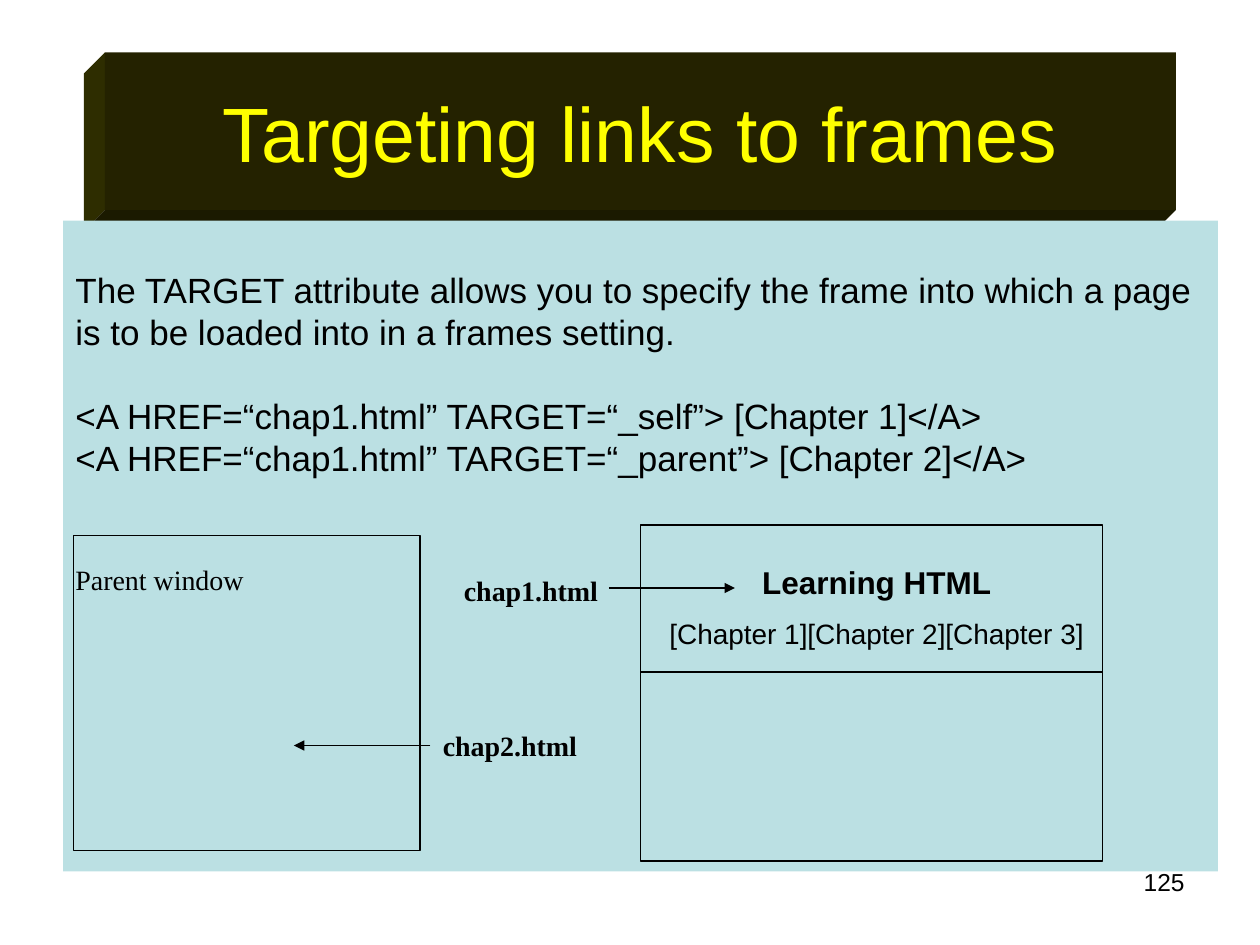
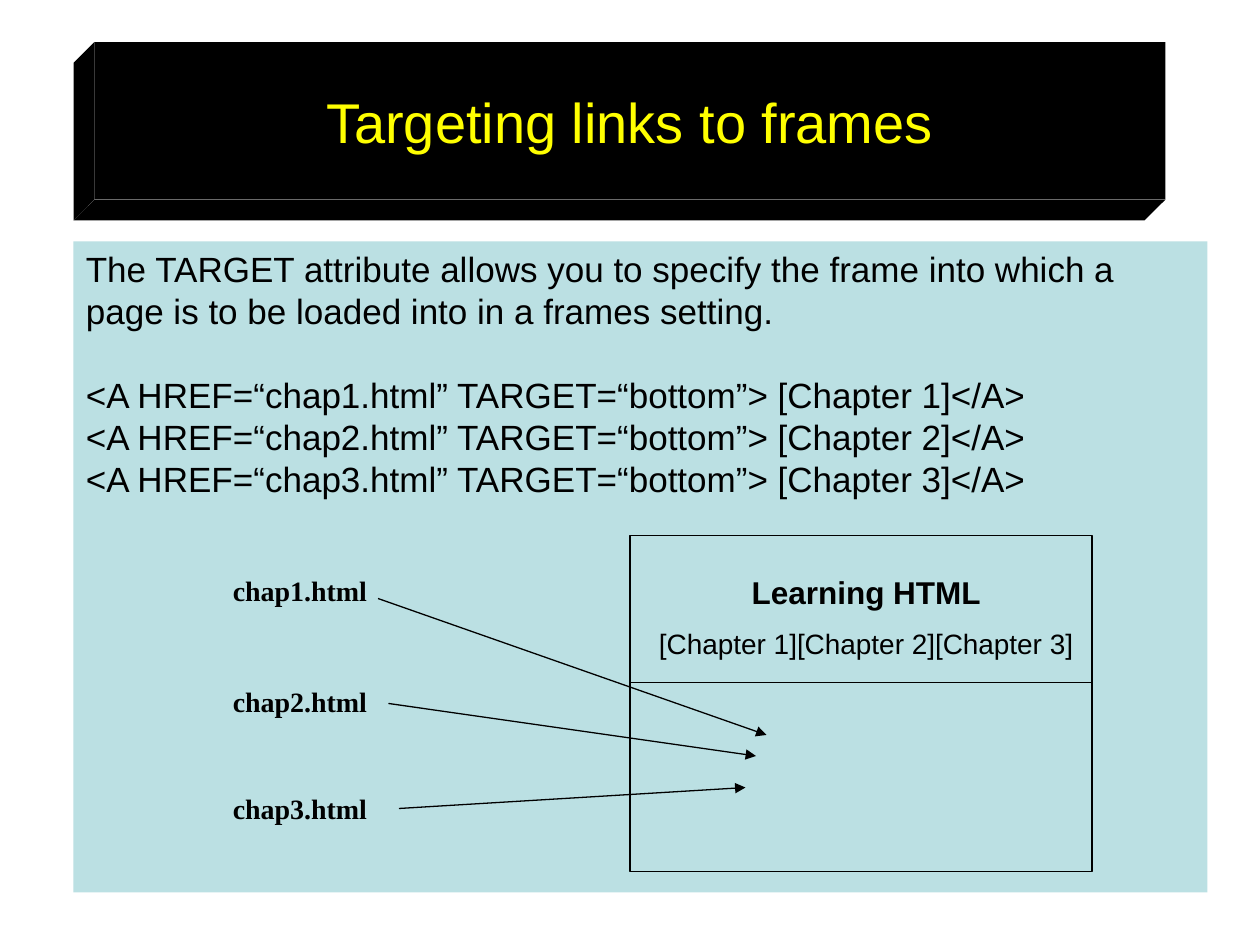
"""Build two slides that explain how links are targeted to frames."""
from lxml import etree
from pptx import Presentation
from pptx.dml.color import RGBColor
from pptx.enum.shapes import MSO_CONNECTOR, MSO_SHAPE
from pptx.enum.text import MSO_ANCHOR, PP_ALIGN
from pptx.oxml.ns import qn
from pptx.util import Inches, Pt

RECTANGLE = MSO_SHAPE.RECTANGLE
STRAIGHT = MSO_CONNECTOR.STRAIGHT
LEFT, CENTER, RIGHT = PP_ALIGN.LEFT, PP_ALIGN.CENTER, PP_ALIGN.RIGHT
TOP, MIDDLE = MSO_ANCHOR.TOP, MSO_ANCHOR.MIDDLE
LEFT_SIDE, RIGHT_SIDE = 1, 3

SANS, SERIF = "Arial", "Times New Roman"
INK, PANEL, TITLE = "000000", "BBE0E3", "FFFF00"
OLIVE = {"front": "242200", "side": "2E2D00", "base": "1B1A00"}
BLACK = dict.fromkeys(OLIVE, INK)

WIDTH, HEIGHT = Inches(10), Inches(7.5)
COLUMNS, ROWS = 120, 90
BODY_SIZE, BODY_LINE = 20, 24
EXTRUSION = 2
INTRO = ("The TARGET attribute allows you to specify the frame into which "
         "a page is to be loaded into in a frames setting.")


def color(hex_code):
    """Turn a hex string into a colour."""
    return RGBColor.from_string(hex_code)


def write(frame, text, size=BODY_SIZE, font=SANS, ink=INK, bold=False,
          align=LEFT, before=0):
    """Add one formatted paragraph to a text frame."""
    first = frame.paragraphs[0]
    paragraph = frame.add_paragraph() if first.runs else first
    paragraph.alignment = align
    paragraph.space_before = Pt(before)
    run = paragraph.add_run()
    run.text = text
    run.font.size, run.font.name, run.font.bold = Pt(size), font, bold
    run.font.color.rgb = color(ink)


class Deck:
    """Hold the shared style and the slide being drawn on."""

    def __init__(self):
        """Open an empty presentation."""
        self.presentation = Presentation()
        self.presentation.slide_width = WIDTH
        self.presentation.slide_height = HEIGHT
        self.shapes = None

    def new_slide(self):
        """Start a blank slide."""
        layout = self.presentation.slide_layouts[6]
        self.shapes = self.presentation.slides.add_slide(layout).shapes

    def place(self, column, row):
        """Convert a grid position or extent to lengths."""
        return round(WIDTH * column / COLUMNS), round(HEIGHT * row / ROWS)

    def paint(self, shape, fill=None, line=None):
        """Give a shape its fill and outline."""
        shape.shadow.inherit = False
        if fill:
            shape.fill.solid()
            shape.fill.fore_color.rgb = color(fill)
        else:
            shape.fill.background()
        if line:
            shape.line.color.rgb = color(line)
            shape.line.width = Pt(0.75)
        else:
            shape.line.fill.background()
        return shape

    def box(self, column, row, width, height, fill=None, line=None,
            anchor=TOP):
        """Draw a rectangle."""
        shape = self.shapes.add_shape(RECTANGLE, *self.place(column, row),
                                      *self.place(width, height))
        shape.text_frame.word_wrap = True
        shape.text_frame.vertical_anchor = anchor
        return self.paint(shape, fill, line)

    def face(self, corners, fill):
        """Draw one flat face of the title block."""
        start, *rest = [self.place(*corner) for corner in corners]
        outline = self.shapes.build_freeform(*start)
        outline.add_line_segments(rest)
        self.paint(outline.convert_to_shape(), fill)

    def textbox(self, column, row, width, height):
        """Add a wrapping text box."""
        holder = self.shapes.add_textbox(*self.place(column, row),
                                         *self.place(width, height))
        holder.text_frame.word_wrap = True
        return holder

    def banner(self, column, row, size, shades):
        """Draw the extruded title block."""
        right, bottom = column + 102, row + 15
        back, low = column - EXTRUSION, bottom + EXTRUSION
        self.face([(column, row), (column, bottom), (back, low),
                   (back, row + EXTRUSION)], shades["side"])
        self.face([(column, bottom), (right, bottom),
                   (right - EXTRUSION, low), (back, low)], shades["base"])
        front = self.box(column, row, 102, 15, shades["front"], anchor=MIDDLE)
        write(front.text_frame, "Targeting links to frames", size=size,
              ink=TITLE, align=CENTER)

    def panel(self, column, row, width, links, lines_above=0):
        """Draw the body panel with its introduction and link code."""
        body = self.box(column, row, width, 62, PANEL).text_frame
        body.margin_top = Inches(0.05) + Pt(BODY_LINE * lines_above)
        write(body, INTRO)
        for index, (page, target, chapter) in enumerate(links):
            write(body, f"<A HREF=“chap{page}.html” TARGET=“{target}”> "
                        f"[Chapter {chapter}]</A>",
                  before=0 if index else BODY_LINE)
        return body

    def label(self, column, row, chapter):
        """Name a chapter file."""
        holder = self.textbox(column, row, 17, 4.4)
        write(holder.text_frame, f"chap{chapter}.html", size=16, font=SERIF,
              bold=True)
        return holder

    def line(self, start, end, arrow=False, source=None, side=LEFT_SIDE):
        """Draw a straight line, joined to its source if one is given."""
        link = self.shapes.add_connector(STRAIGHT, *self.place(*start),
                                         *self.place(*end))
        link.line.color.rgb = color(INK)
        link.line.width = Pt(0.75)
        if arrow:
            etree.SubElement(link.line._get_or_add_ln(), qn("a:tailEnd"),
                             type="triangle")
        etree.SubElement(link._element.spPr, qn("a:effectLst"))
        if source:
            link.begin_connect(source, side)

    def frameset(self, column, row):
        """Draw the browser window split into two frames."""
        heading = self.textbox(column + 1, row + 3, 43, 9.6).text_frame
        write(heading, "Learning HTML", size=18, bold=True, align=CENTER)
        write(heading, "[Chapter 1][Chapter 2][Chapter 3]", size=16,
              align=CENTER, before=9)
        self.box(column, row, 44, 32, line=INK)
        self.line((column, row + 14), (column + 44, row + 14))

    def page_number(self, number):
        """Write the slide number at the lower right."""
        holder = self.textbox(86, 82, 28, 6.2)
        write(holder.text_frame, number, size=14, align=RIGHT)


def self_and_parent(deck):
    """Show links that target their own frame and the parent window."""
    deck.new_slide()
    deck.page_number("125")
    deck.banner(10, 5, 44, OLIVE)
    body = deck.panel(6, 21, 110, [(1, "_self", 1), (1, "_parent", 2)],
                      lines_above=1)
    write(body, "Parent window", size=16, font=SERIF, before=2 * BODY_LINE)
    deck.frameset(61, 50)
    deck.label(43, 54, 1)
    parent_page = deck.label(41, 68.8, 2)
    deck.line((41, 71), (28, 71), arrow=True, source=parent_page)
    deck.line((58, 56), (70, 56), arrow=True)
    deck.box(7, 51, 33, 30, line=INK)


def bottom_frame(deck):
    """Show three links that all target the bottom frame."""
    deck.new_slide()
    deck.banner(9, 4, 32, BLACK)
    deck.panel(7, 23, 108, [(n, "bottom", n) for n in (1, 2, 3)])
    deck.frameset(60, 51)
    pages = [deck.label(21, row, chapter)
             for chapter, row in enumerate((54, 64.6, 74.8), 1)]
    deck.line((36, 57), (73, 70), arrow=True)
    deck.line((37, 67), (72, 72), arrow=True)
    deck.line((38, 77), (71, 75), arrow=True, source=pages[-1],
              side=RIGHT_SIDE)


def main():
    """Build and save the slides."""
    deck = Deck()
    self_and_parent(deck)
    bottom_frame(deck)
    deck.presentation.save("out.pptx")


if __name__ == "__main__":
    main()
